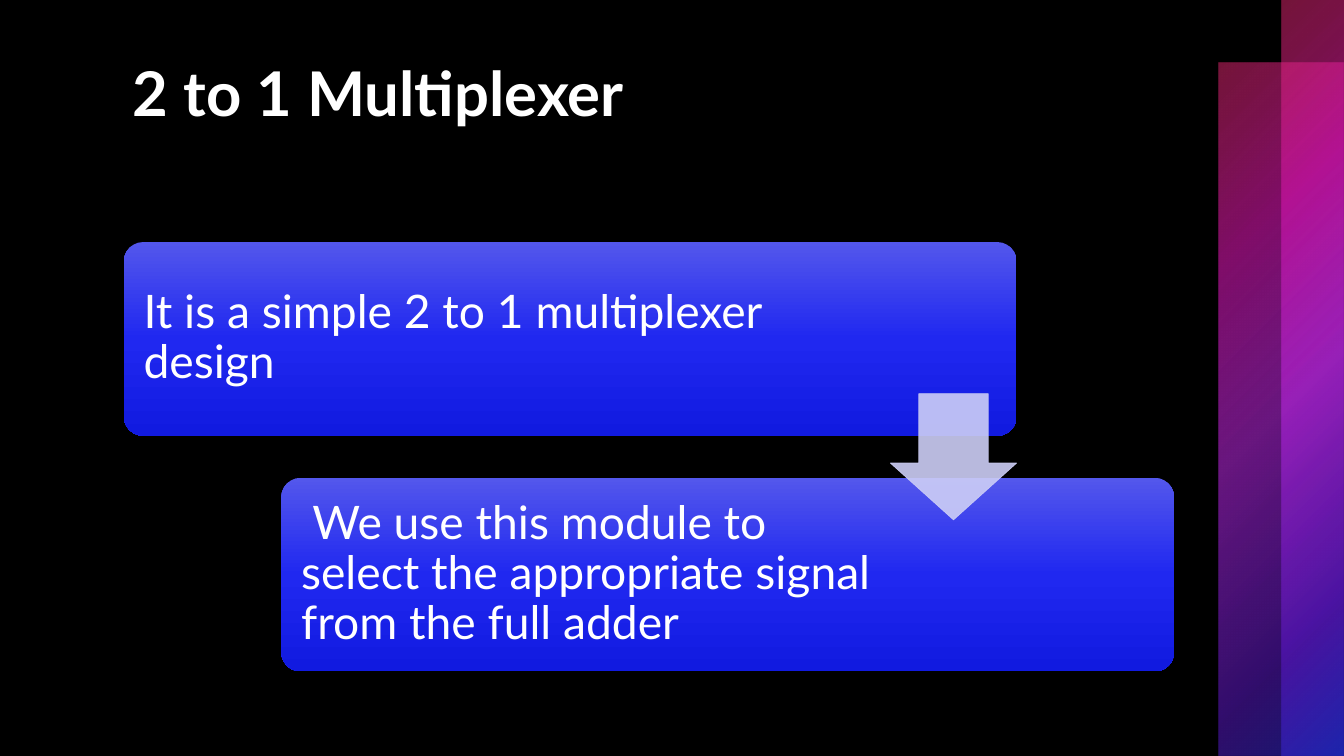
import lxml.etree
import pptx
import pptx.dml.color
import pptx.enum.shapes
import pptx.enum.text
import pptx.oxml
import pptx.oxml.ns
import pptx.util

Cm = pptx.util.Cm
Pt = pptx.util.Pt
MSO_SHAPE = pptx.enum.shapes.MSO_SHAPE
MSO_ANCHOR = pptx.enum.text.MSO_ANCHOR
qn = pptx.oxml.ns.qn

SLIDE_WIDTH, SLIDE_HEIGHT = 33.87, 19.05
STRIPS_WIDTH, STRIP_DROP = 3.16, 1.57
CARD_WIDTH, CARD_HEIGHT, CARD_PADDING, CARD_MARGIN = 22.5, 4.88, 0.14, 0.36
ARROW_SIZE = 3.18
FONT = "Lato"
COLORS = {
    "background": "000000", "text": "FFFFFF", "arrow": "CDCEF6",
    "pink": "E72970", "magenta": "D517AE", "purple": "BF29E7",
    "violet": "611BD6", "blue": "2931E7",
    "card_top": "5357EC", "card_middle": "2028F0", "card_bottom": "111AE0",
}
STRIP_STOPS = [(0, "pink", 50), (25, "magenta", 60), (50, "purple", 55),
               (81, "violet", 50), (99, "blue", 50)]
CARD_STOPS = [(0, "card_top", 100), (50, "card_middle", 100), (100, "card_bottom", 100)]
FROM_TOP_LEFT = '<a:path path="circle"><a:fillToRect r="100000" b="100000"/></a:path>'
DOWNWARD = '<a:lin ang="5400000" scaled="0"/>'
STEPS = [
    ("It is a simple 2 to 1 multiplexer design", 17.45),
    (" We use this module to select the appropriate signal from the full adder", 15.15),
]


def rgb(name):
    """Return the named colour."""
    return pptx.dml.color.RGBColor.from_string(COLORS[name])


def add_plain_shape(slide, kind, box):
    """Add a preset shape without shadow, fill or line."""
    shape = slide.shapes.add_shape(kind, *map(Cm, box))
    shape.shadow.inherit = False
    shape.fill.background()
    shape.line.fill.background()
    return shape


def set_gradient(shape, stops, direction):
    """Fill a plain shape with stops of position, colour name and opacity."""
    stop_xml = "".join(
        f'<a:gs pos="{position * 1000}"><a:srgbClr val="{COLORS[name]}">'
        f'<a:alpha val="{opacity * 1000}"/></a:srgbClr></a:gs>'
        for position, name, opacity in stops)
    gradient = pptx.oxml.parse_xml(
        f'<a:gradFill {pptx.oxml.ns.nsdecls("a")} rotWithShape="1">'
        f'<a:gsLst>{stop_xml}</a:gsLst>{direction}</a:gradFill>')
    properties = shape.element.spPr
    properties.replace(properties.find(qn("a:noFill")), gradient)


def add_text(slide, box, text, size):
    """Add a wrapped text box with one paragraph and return its frame."""
    frame = slide.shapes.add_textbox(*map(Cm, box)).text_frame
    frame.word_wrap = True
    paragraph = frame.paragraphs[0]
    paragraph.text = text
    paragraph.font.name = FONT
    paragraph.font.size = Pt(size)
    paragraph.font.color.rgb = rgb("text")
    return frame


def add_title(slide, left, top, width, height):
    """Write the bold slide title at the top of the box."""
    frame = add_text(slide, (left, top, width, height), "2 to 1 Multiplexer", 44)
    frame.paragraphs[0].font.bold = True


def add_side_strips(slide, left, top, width, height):
    """Draw two overlapping strips: a wide lowered one and a narrow full-height one."""
    lowered = (left, top + STRIP_DROP, width, height - STRIP_DROP)
    full_height = (left + width / 2, top, width / 2, height)
    for box in (lowered, full_height):
        strip = add_plain_shape(slide, MSO_SHAPE.RECTANGLE, box)
        set_gradient(strip, STRIP_STOPS, FROM_TOP_LEFT)


def add_card(slide, left, top, text, text_width):
    """Draw one rounded card with its text kept to the left."""
    card = add_plain_shape(slide, MSO_SHAPE.ROUNDED_RECTANGLE,
                           (left, top, CARD_WIDTH, CARD_HEIGHT))
    card.adjustments[0] = 0.1
    set_gradient(card, CARD_STOPS, DOWNWARD)
    text_box = (left + CARD_PADDING, top + CARD_PADDING,
                text_width, CARD_HEIGHT - 2 * CARD_PADDING)
    frame = add_text(slide, text_box, text, 33)
    frame.vertical_anchor = MSO_ANCHOR.MIDDLE
    frame.margin_left = frame.margin_right = Cm(CARD_MARGIN)
    frame.margin_top = frame.margin_bottom = Cm(CARD_MARGIN)
    frame.paragraphs[0].line_spacing = 0.9


def add_arrow(slide, left, top):
    """Draw the translucent arrow that leads to the next card."""
    arrow = add_plain_shape(slide, MSO_SHAPE.DOWN_ARROW, (left, top, ARROW_SIZE, ARROW_SIZE))
    arrow.adjustments[0], arrow.adjustments[1] = 0.55, 0.45
    arrow.line.width = Pt(0.5)
    for fill in (arrow.fill, arrow.line.fill):
        fill.solid()
        fill.fore_color.rgb = rgb("arrow")
    for color in arrow.element.spPr.iter(qn("a:srgbClr")):
        lxml.etree.SubElement(color, qn("a:alpha")).set("val", "90000")


def add_step_process(slide, left, top, width, height):
    """Stagger the cards across the box and centre an arrow on each gap."""
    gaps = len(STEPS) - 1
    shift = (width - CARD_WIDTH) / gaps
    drop = (height - CARD_HEIGHT) / gaps
    for index, (text, text_width) in enumerate(STEPS):
        add_card(slide, left + index * shift, top + index * drop, text, text_width)
    for index in range(gaps):
        card_right = left + index * shift + CARD_WIDTH
        gap_middle = top + index * drop + (CARD_HEIGHT + drop) / 2
        add_arrow(slide, card_right - ARROW_SIZE, gap_middle - ARROW_SIZE / 2)


def build_slide(presentation):
    """Build the multiplexer slide."""
    slide = presentation.slides.add_slide(presentation.slide_layouts[6])
    slide.background.fill.solid()
    slide.background.fill.fore_color.rgb = rgb("background")
    add_side_strips(slide, SLIDE_WIDTH - STRIPS_WIDTH, 0, STRIPS_WIDTH, SLIDE_HEIGHT)
    add_title(slide, 3.1, 1.27, 26.34, 4.32)
    add_step_process(slide, 3.12, 6.1, 26.47, 10.82)


def main():
    """Create and save the presentation."""
    presentation = pptx.Presentation()
    presentation.slide_width = Cm(SLIDE_WIDTH)
    presentation.slide_height = Cm(SLIDE_HEIGHT)
    build_slide(presentation)
    presentation.save("out.pptx")


if __name__ == "__main__":
    main()
